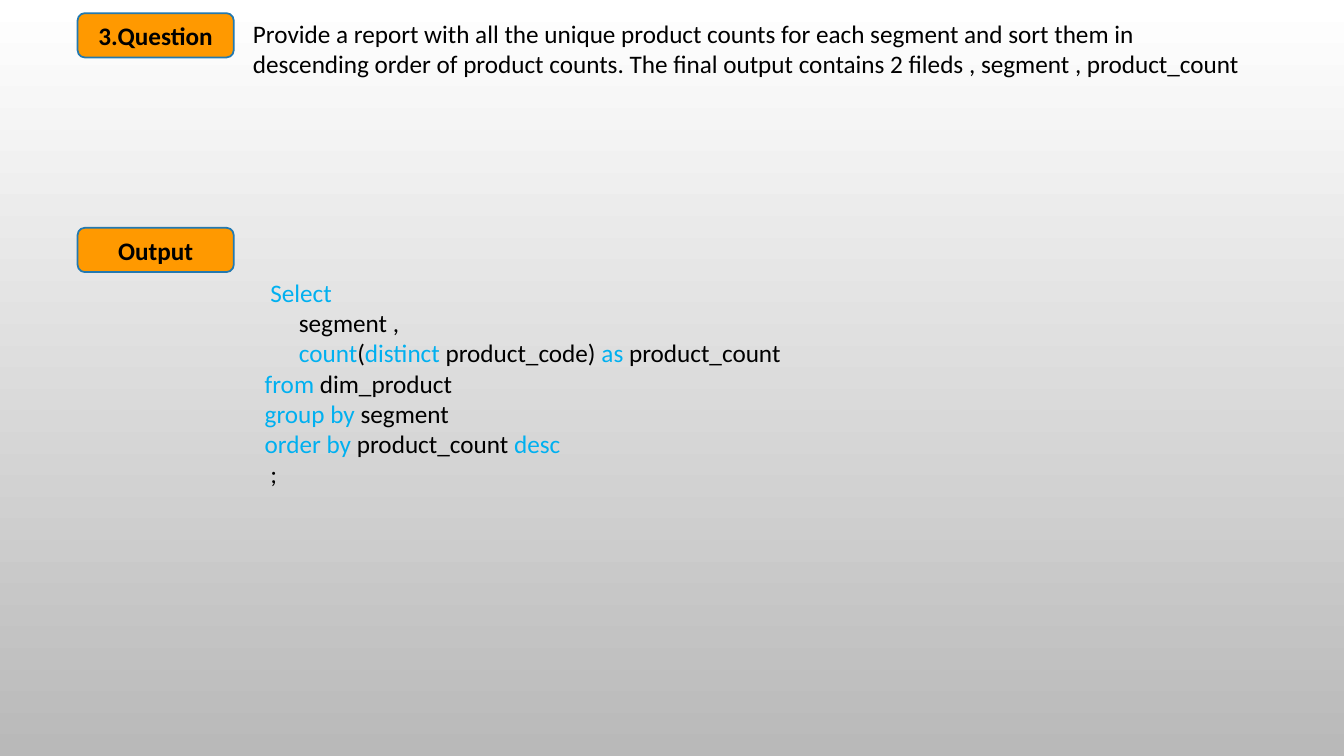
import pptx
import pptx.dml.color
import pptx.enum.shapes
import pptx.enum.text
import pptx.util

Pt = pptx.util.Pt
ALIGN = pptx.enum.text.PP_ALIGN
ANCHOR = pptx.enum.text.MSO_ANCHOR

# Content
QUESTION = (
    "Provide a report with all the unique product counts for each segment and "
    "sort them in descending order of product counts. The final output contains "
    "2 fileds , segment , product_count"
)
BADGES = [("3.Question", 9.4), ("Output", 162.7)]  # label, top
# Each line: indent, then (text, colour) spans
QUERY = [
    (65, [("Select", "keyword")]),
    (85.4, [("segment ,", "text")]),
    (85.4, [("count", "keyword"), ("(", "text"), ("distinct ", "keyword"),
            ("product_code) ", "text"), ("as", "keyword"),
            (" product_count", "text")]),
    (61, [("from ", "keyword"), ("dim_product", "text")]),
    (61, [("group by ", "keyword"), ("segment", "text")]),
    (61, [("order by ", "keyword"), ("product_count ", "text"),
          ("desc", "keyword")]),
    (65, [(";", "text")]),
]
COLORS = {
    "text": "000000", "keyword": "00B0F0", "badge": "FF9900",
    "outline": "2379B0", "sky": "FFFFFF", "ground": "B9B9B9",
}


def color(name):
    return pptx.dml.color.RGBColor.from_string(COLORS[name])


def add_span(para, text, color_name="text", bold=False):
    span = para.add_run()
    span.text = text
    span.font.name = "Calibri"
    span.font.size = Pt(18)
    span.font.bold = bold
    span.font.color.rgb = color(color_name)


def place(box, left, top, width, height):
    box.left, box.top, box.width, box.height = map(Pt, (left, top, width, height))


def set_frame(frame, anchor):
    frame.word_wrap = True
    frame.auto_size = pptx.enum.text.MSO_AUTO_SIZE.NONE
    frame.vertical_anchor = anchor


deck = pptx.Presentation()
deck.slide_width, deck.slide_height = Pt(960), Pt(540)
page = deck.slides.add_slide(deck.slide_layouts[5])

# Background, shaded from top to bottom
backdrop = page.background.fill
backdrop.gradient()
backdrop.gradient_angle = 270
for stop, name, position in zip(backdrop.gradient_stops, ("sky", "ground"), (0, 1)):
    stop.color.rgb = color(name)
    stop.position = position

# Question as the title
title = page.shapes.title
place(title, 173.5, 9.4, 725, 138.2)
set_frame(title.text_frame, ANCHOR.TOP)
para = title.text_frame.paragraphs[0]
para.alignment = ALIGN.LEFT
add_span(para, QUESTION)

# Orange badges
for label, top in BADGES:
    badge = page.shapes.add_shape(
        pptx.enum.shapes.MSO_SHAPE.ROUNDED_RECTANGLE,
        Pt(55.4), Pt(top), Pt(111.6), Pt(31.7))
    badge.shadow.inherit = False
    badge.fill.solid()
    badge.fill.fore_color.rgb = color("badge")
    badge.line.color.rgb = color("outline")
    badge.line.width = Pt(1.25)
    set_frame(badge.text_frame, ANCHOR.MIDDLE)
    para = badge.text_frame.paragraphs[0]
    para.alignment = ALIGN.CENTER
    add_span(para, label, bold=True)

# Query, one paragraph per line
query_box = page.shapes.add_textbox(Pt(121), Pt(194.4), Pt(712), Pt(208))
frame = query_box.text_frame
set_frame(frame, ANCHOR.TOP)
for number, (indent, spans) in enumerate(QUERY):
    para = frame.add_paragraph() if number else frame.paragraphs[0]
    properties = para._p.get_or_add_pPr()
    properties.set("marL", str(Pt(indent)))
    properties.set("indent", "0")
    for text, name in spans:
        add_span(para, text, name)

deck.save("out.pptx")
